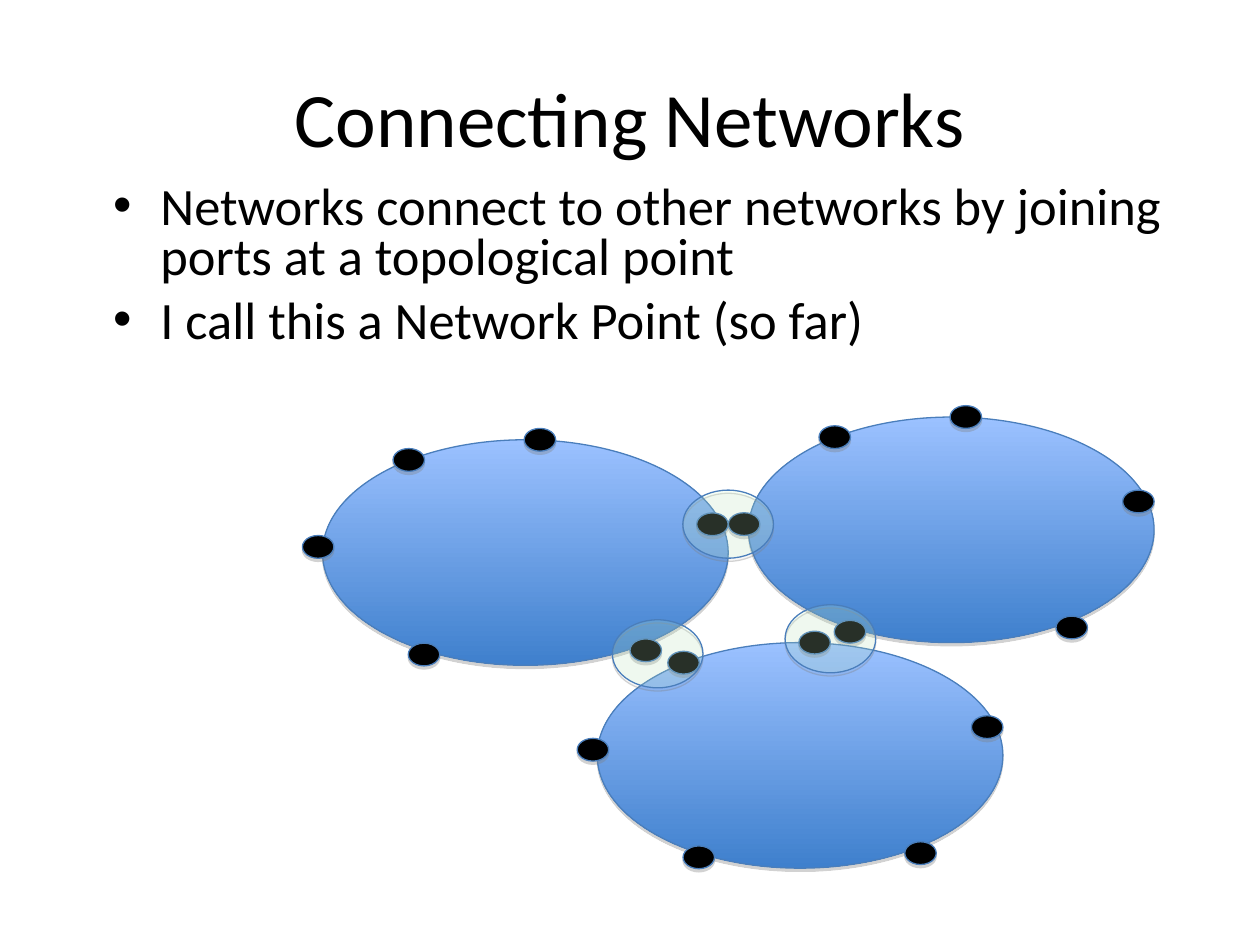
import pptx
import pptx.util
import pptx.dml.color
import pptx.enum.shapes
import pptx.enum.text
import pptx.oxml
import pptx.oxml.ns

Pt = pptx.util.Pt
Align = pptx.enum.text.PP_ALIGN
Anchor = pptx.enum.text.MSO_ANCHOR
OVAL = pptx.enum.shapes.MSO_SHAPE.OVAL
NS = pptx.oxml.ns.nsdecls("a")


def color(code):
    return pptx.dml.color.RGBColor.from_string(code)


def xml(text):
    return pptx.oxml.parse_xml(text)


class Deck:
    font = "Calibri"
    ink = "000000"
    edge = "4A7EBB"
    top = "9BC1FF"
    base = "3F80CD"
    halo = "CCFFCC"

    def __init__(self, wide, high):
        self.show = pptx.Presentation()
        self.show.slide_width = Pt(wide)
        self.show.slide_height = Pt(high)
        self.slide = self.show.slides.add_slide(self.show.slide_layouts[6])

    def text(self, x, y, w, h, lines, size, anchor):
        frame = self.slide.shapes.add_textbox(Pt(x), Pt(y), Pt(w), Pt(h)).text_frame
        frame.word_wrap = True
        frame.vertical_anchor = anchor
        for i, line in enumerate(lines):
            para = frame.paragraphs[0] if i == 0 else frame.add_paragraph()
            para.text = line
            yield i, para
            para.font.name = self.font
            para.font.size = Pt(size)
            para.font.color.rgb = color(self.ink)

    def title(self, x, y, w, h, line):
        for i, para in self.text(x, y, w, h, [line], 44, Anchor.MIDDLE):
            para.alignment = Align.CENTER

    def list(self, x, y, w, h, lines):
        for i, para in self.text(x, y, w, h, lines, 30, Anchor.TOP):
            para.line_spacing = 0.8
            if i:
                para.space_before = Pt(7.5)
            props = para._p.get_or_add_pPr()
            props.set("marL", str(Pt(27)))
            props.set("indent", str(Pt(-27)))
            props.append(xml(f'<a:buFont {NS} typeface="Arial"/>'))
            props.append(xml(f'<a:buChar {NS} char="•"/>'))

    def oval(self, x, y, w, h):
        shape = self.slide.shapes.add_shape(OVAL, Pt(x), Pt(y), Pt(w), Pt(h))
        shape.line.color.rgb = color(self.edge)
        shape.line.width = Pt(0.75)
        shape.shadow.inherit = False
        effect = shape._element.spPr.find(pptx.oxml.ns.qn("a:effectLst"))
        effect.append(xml(
            f'<a:outerShdw {NS} blurRad="0" dist="{Pt(1.8)}" dir="5400000" rotWithShape="0">'
            '<a:srgbClr val="808080"><a:alpha val="35000"/></a:srgbClr></a:outerShdw>'))
        return shape

    def cloud(self, x, y):
        fill = self.oval(x, y, 231.8, 128.9).fill
        fill.gradient()
        fill.gradient_angle = 270
        for stop, code in zip(fill.gradient_stops, (self.top, self.base)):
            stop.color.rgb = color(code)

    def port(self, x, y):
        fill = self.oval(x, y, 18, 13).fill
        fill.solid()
        fill.fore_color.rgb = color(self.ink)

    def joint(self, x, y):
        shape = self.oval(x, y, 51.8, 38.9)
        shape.fill.solid()
        shape.fill.fore_color.rgb = color(self.halo)
        tint = shape._element.spPr.find(".//" + pptx.oxml.ns.qn("a:srgbClr"))
        tint.append(xml(f'<a:alpha {NS} val="17000"/>'))


CLOUDS = [(427.7, 238.3), (184.3, 251.3), (341.3, 367.2)]
PORTS = [(175.7, 113.8), (49, 116.2), (115.2, -6.5),
         (-11.5, 54.7), (213.8, 41.8), (40.3, 5)]
JOINTS = [(390.2, 280.1), (349.9, 354.2), (448.6, 345.6)]


def main():
    deck = Deck(720, 540)
    deck.title(36, 21.6, 648, 90, "Connecting Networks")
    deck.list(57.6, 102.2, 648, 111.6, [
        "Networks connect to other networks by joining ports at a topological point",
        "I call this a Network Point (so far)",
    ])
    for x, y in CLOUDS:
        deck.cloud(x, y)
        for dx, dy in PORTS:
            deck.port(x + dx, y + dy)
    for x, y in JOINTS:
        deck.joint(x, y)
    deck.show.save("out.pptx")


if __name__ == "__main__":
    main()
